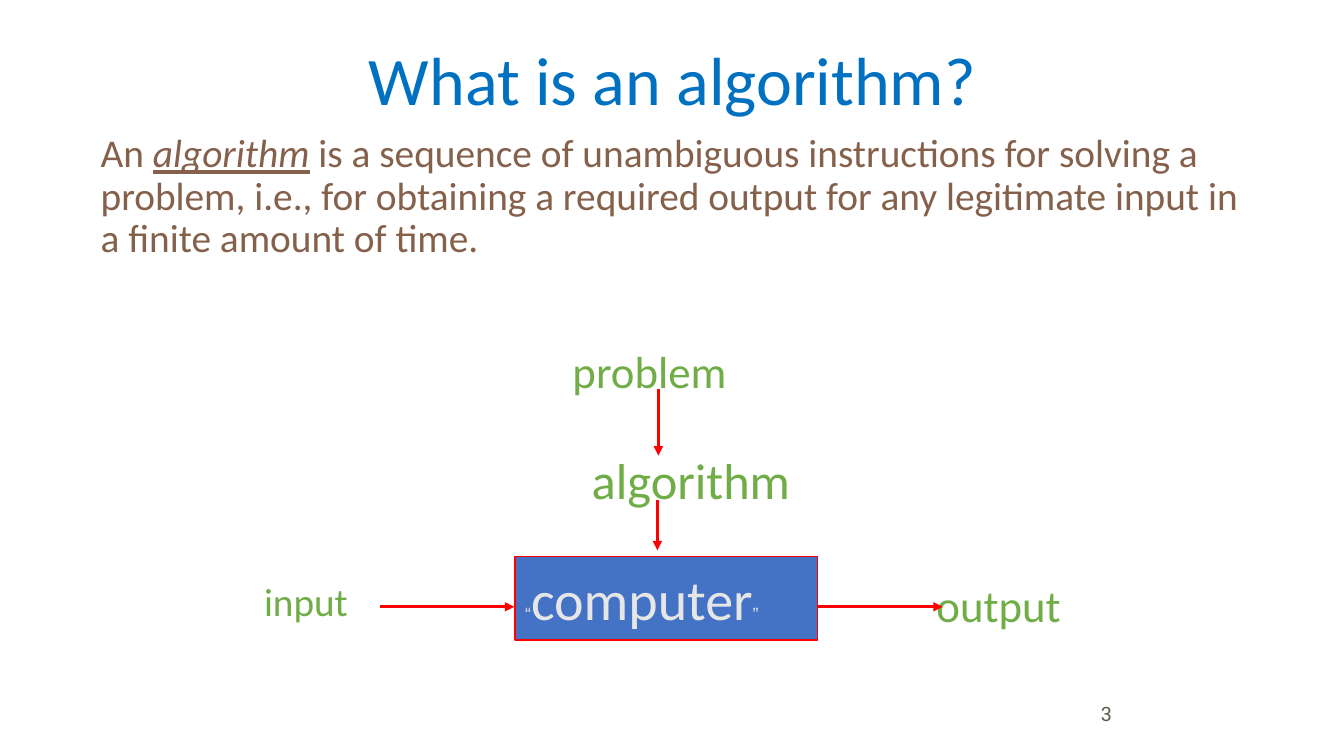
from lxml import etree
from pptx import Presentation
from pptx import util as u
from pptx.dml.color import RGBColor
from pptx.enum import shapes, text
from pptx.oxml.ns import qn

COLORS = {
    "title": "0070C0",
    "definition": "85604A",
    "label": "70AD47",
    "box": "4472C4",
    "box_text": "E7E6E6",
    "red": "FF0000",
    "number": "625B48",
}


def rgb(name):
    return RGBColor.from_string(COLORS[name])


def apply(target, values):
    for name, value in values.items():
        setattr(target, name, value)


def write(frame, runs, color, paragraph_format=None, anchor=text.MSO_ANCHOR.TOP):
    apply(frame, {"word_wrap": True, "vertical_anchor": anchor})
    paragraph = frame.paragraphs[0]
    apply(paragraph, {"alignment": text.PP_ALIGN.LEFT, **(paragraph_format or {})})
    for words, size, font, extra in runs:
        run = paragraph.add_run()
        run.text = words
        apply(run.font, {"size": u.Pt(size), "name": font, **extra})
        run.font.color.rgb = rgb(color)


def add_text(slide, area, runs, color, **options):
    box = slide.shapes.add_textbox(*map(u.Inches, area))
    write(box.text_frame, runs, color, **options)


def add_label(slide, words, size, area):
    add_text(slide, area, [(words, size, "Calibri", {})], "label")


def add_computer(slide, area):
    computer = slide.shapes.add_shape(
        shapes.MSO_SHAPE.RECTANGLE, *map(u.Inches, area))
    computer.shadow.inherit = False
    computer.fill.solid()
    computer.fill.fore_color.rgb = rgb("box")
    computer.line.color.rgb = rgb("red")
    computer.line.width = u.Pt(1)
    runs = [("\u201c", 12.7, "Arial", {}),
            ("computer", 40, "Calibri", {}),
            ("\u201d", 12.7, "Arial", {})]
    write(computer.text_frame, runs, "box_text", anchor=text.MSO_ANCHOR.MIDDLE)


def add_arrow(slide, *ends):
    arrow = slide.shapes.add_connector(
        shapes.MSO_CONNECTOR.STRAIGHT, *map(u.Inches, ends))
    arrow.line.color.rgb = rgb("red")
    arrow.line.width = u.Pt(2.25)
    etree.SubElement(arrow.line._get_or_add_ln(), qn("a:tailEnd"), type="triangle")
    etree.SubElement(arrow._element.spPr, qn("a:effectLst"))


def main():
    deck = Presentation()
    apply(deck, {"slide_width": u.Inches(13.33), "slide_height": u.Inches(7.5)})
    slide = deck.slides.add_slide(deck.slide_layouts[6])

    add_text(slide, (0.92, 0.4, 11.5, 0.86),
             [("What is an algorithm?", 48.6, "Calibri", {})], "title",
             paragraph_format={"alignment": text.PP_ALIGN.CENTER,
                               "line_spacing": 0.9},
             anchor=text.MSO_ANCHOR.MIDDLE)

    definition = [
        ("An ", 28.1, "Calibri", {}),
        ("algorithm", 28.1, "Calibri", {"italic": True, "underline": True}),
        (" is a sequence of unambiguous instructions for solving a problem, "
         "i.e., for obtaining a required output for any legitimate input in "
         "a finite amount of time.", 28.1, "Calibri", {}),
    ]
    add_text(slide, (0.9, 1.28, 11.5, 4.76), definition, "definition",
             paragraph_format={"line_spacing": 0.9, "space_before": u.Pt(10)})

    add_computer(slide, (5.11, 5.52, 3, 0.83))
    for words, size, area in (
        ("problem", 32, (5.58, 3.36, 1.83, 0.64)),
        ("algorithm", 36, (5.77, 4.41, 2.19, 0.71)),
        ("input", 28, (2.52, 5.68, 1.31, 0.57)),
        ("output", 32, (9.19, 5.68, 1.6, 0.64)),
    ):
        add_label(slide, words, size, area)
    for ends in (
        (6.53, 3.86, 6.53, 4.52),
        (6.52, 4.96, 6.52, 5.46),
        (3.77, 6.02, 5.1, 6.02),
        (8.1, 6.02, 9.35, 6.02),
    ):
        add_arrow(slide, *ends)

    add_text(slide, (10.82, 6.91, 0.64, 0.33),
             [("3", 14.1, "Roboto", {})], "number")
    deck.save("out.pptx")


main()
